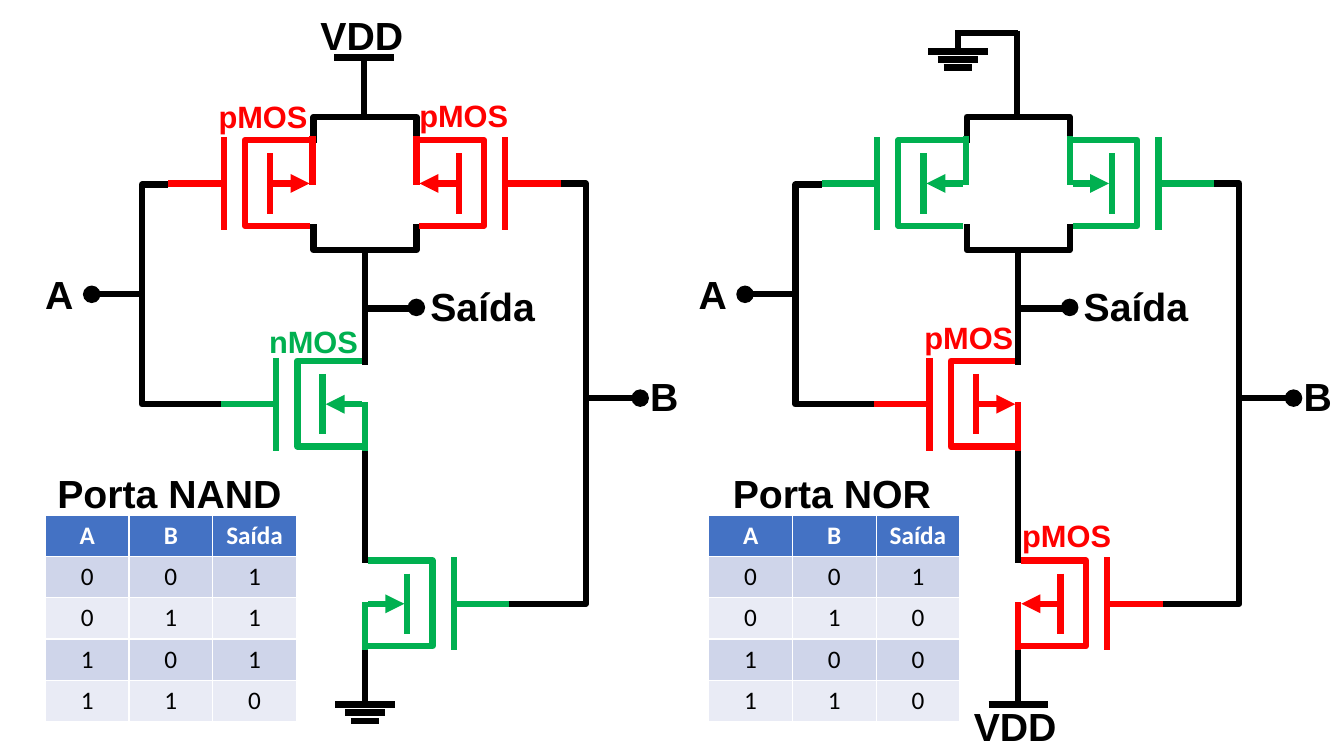
from dataclasses import dataclass
from itertools import product

from lxml.etree import SubElement
from pptx import Presentation
from pptx.dml.color import RGBColor
from pptx.enum.shapes import MSO_CONNECTOR as Conn, MSO_SHAPE as Geo
from pptx.enum.text import MSO_ANCHOR as Anchor, MSO_AUTO_SIZE as AutoSize, PP_ALIGN as Align
from pptx.oxml.ns import qn
from pptx.shapes.autoshape import Shape
from pptx.slide import Slide
from pptx.util import Inches, Pt

COLORS = {
    "black": "000000", "white": "FFFFFF", "pMOS": "FF0000", "nMOS": "00B050",
    "header": "4472C4", "odd": "CFD5EA", "even": "E9EBF5",
}
LINE_WIDTH = 4.5
COLUMN, ROW = 0.83, 0.41


@dataclass
class Wire:
    x1: float
    y1: float
    x2: float
    y2: float
    color: str = "black"
    arrow: bool = False


@dataclass
class Bracket:
    x: float
    y: float
    w: float
    h: float
    rotation: int = 0
    color: str = "black"


@dataclass
class Transistor:
    rail: float
    mid: float
    side: int
    upper: bool


@dataclass
class Label:
    text: str
    x: float
    y: float
    w: float
    color: str = "black"
    size: int = 28
    h: float = 0.57


@dataclass
class Gate:
    dx: float
    upper_kind: str
    lower_kind: str
    table_x: float
    outputs: tuple[int, ...]
    supply_y: float
    supply: list[Wire]
    labels: list[Label]


WIRES = [
    Wire(3.62, 2.49, 3.62, 3.62), Wire(3.62, 4.41, 3.62, 5.59), Wire(3.62, 6.41, 3.62, 6.96),
    Wire(1.66, 4.01, 2.25, 4.01), Wire(0.89, 2.92, 1.41, 2.92),
    Wire(4.96, 5.99, 5.55, 5.99), Wire(5.81, 3.95, 6.33, 3.95), Wire(3.6, 3.06, 4.12, 3.06),
]
BRACKETS = [
    Bracket(3.49, 1.84, 0.26, 1.02, 270), Bracket(3.49, 0.78, 0.26, 1.02, 90),
    Bracket(1.41, 1.83, 0.26, 2.18), Bracket(5.55, 1.82, 0.26, 4.17, 180),
]
TRANSISTORS = [
    Transistor(3.1, 1.82, -1, True), Transistor(4.13, 1.82, 1, True),
    Transistor(3.62, 4.01, -1, False), Transistor(3.62, 5.99, 1, False),
]
DOTS = [(0.91, 2.92), (4.13, 3.05), (6.35, 3.95)]
PINS = [Label("A", 0.35, 2.63, 0.49), Label("B", 6.35, 3.64, 0.49), Label("Saída", 4.17, 2.75, 1.25)]


def supply_bar(x: float, y: float, width: float = 0.59) -> Wire:
    return Wire(x - width / 2, y, x + width / 2, y)


def ground(x: float, y: float) -> list[Wire]:
    return [supply_bar(x, y + i * 0.08, w) for i, w in enumerate((0.59, 0.4, 0.28))]


def channel_label(kind: str, x: float, y: float) -> Label:
    return Label(kind, x, y, 1.09, kind, 22, 0.47)


GATES = [
    Gate(0, "pMOS", "nMOS", 0.45, (1, 1, 1, 0), 0.54,
         [supply_bar(3.61, 0.57), *ground(3.62, 6.99)],
         [Label("VDD", 3.08, 0.06, 1.03), Label("Porta NAND", 0.47, 4.61, 2.45),
          channel_label("pMOS", 2.07, 0.92), channel_label("pMOS", 4.06, 0.91),
          channel_label("nMOS", 2.57, 3.15)]),
    Gate(6.48, "nMOS", "pMOS", 7.03, (1, 0, 0, 0), 0.31,
         [supply_bar(3.62, 6.99), *ground(3.02, 0.51),
          Wire(3.02, 0.33, 3.62, 0.33), Wire(3.02, 0.54, 3.02, 0.3)],
         [Label("VDD", 3.08, 6.92, 1.03), Label("Porta NOR", 0.69, 4.61, 2.19),
          channel_label("pMOS", 2.59, 3.11), channel_label("pMOS", 3.56, 5.08)]),
]


def rgb(color: str) -> RGBColor:
    return RGBColor.from_string(COLORS[color])


def draw_wire(s: Slide, w: Wire, dx: float) -> None:
    c = s.shapes.add_connector(
        Conn.STRAIGHT, Inches(w.x1 + dx), Inches(w.y1), Inches(w.x2 + dx), Inches(w.y2))
    c.line.color.rgb = rgb(w.color)
    c.line.width = Pt(LINE_WIDTH)
    if w.arrow:
        SubElement(c.line._get_or_add_ln(), qn("a:tailEnd"), type="triangle")
    SubElement(c._element.spPr, qn("a:effectLst"))


def add_preset(s: Slide, geo: Geo, x: float, y: float, w: float, h: float,
               color: str, line_width: float) -> Shape:
    sp = s.shapes.add_shape(geo, Inches(x), Inches(y), Inches(w), Inches(h))
    sp.shadow.inherit = False
    sp.line.color.rgb = rgb(color)
    sp.line.width = Pt(line_width)
    return sp


def draw_bracket(s: Slide, b: Bracket, dx: float) -> None:
    sp = add_preset(s, Geo.LEFT_BRACKET, b.x + dx, b.y, b.w, b.h, b.color, LINE_WIDTH)
    sp.adjustments[0] = 0
    sp.rotation = b.rotation
    sp.fill.background()


def draw_dot(s: Slide, x: float, y: float) -> None:
    sp = add_preset(s, Geo.OVAL, x - 0.08, y - 0.08, 0.16, 0.16, "black", 1)
    sp.fill.solid()
    sp.fill.fore_color.rgb = rgb("black")


def draw_transistor(s: Slide, t: Transistor, kind: str, dx: float) -> None:
    def out(offset: float) -> float:
        return t.rail + t.side * offset

    left = min(out(0.03), out(0.67))
    draw_bracket(s, Bracket(left, t.mid - 0.43, 0.64, 0.85, 180 if t.side > 0 else 0, kind), dx)
    start, end = (0.39, 0.03) if kind == "pMOS" else (0.03, 0.39)
    source_y = t.mid + (-0.47 if t.upper else 0.46)
    for w in (
        Wire(out(0.42), t.mid - 0.3, out(0.42), t.mid + 0.3, kind),
        Wire(out(start), t.mid, out(end), t.mid, kind, True),
        Wire(out(0.88), t.mid - 0.46, out(0.88), t.mid + 0.46, kind),
        Wire(out(0.91), t.mid, out(1.43), t.mid, kind),
        Wire(t.rail, source_y, t.rail, t.mid + 0.02 * (1 if t.upper else -1), kind),
    ):
        draw_wire(s, w, dx)


def draw_label(s: Slide, label: Label, dx: float) -> None:
    tf = s.shapes.add_textbox(
        Inches(label.x + dx), Inches(label.y), Inches(label.w), Inches(label.h)).text_frame
    tf.word_wrap = False
    tf.auto_size = AutoSize.SHAPE_TO_FIT_TEXT
    p = tf.paragraphs[0]
    p.text = label.text
    p.font.name = "Arial"
    p.font.size = Pt(label.size)
    p.font.bold = True
    p.font.color.rgb = rgb(label.color)


def draw_truth_table(s: Slide, gate: Gate) -> None:
    rows = [("A", "B", "Saída")]
    rows += [(a, b, y) for (a, b), y in zip(product((0, 1), repeat=2), gate.outputs)]
    table = s.shapes.add_table(
        len(rows), 3, Inches(gate.table_x), Inches(5.11), Inches(3 * COLUMN),
        Inches(len(rows) * ROW)).table
    for i, values in enumerate(rows):
        for j, value in enumerate(values):
            cell = table.cell(i, j)
            cell.fill.solid()
            cell.fill.fore_color.rgb = rgb("header" if i == 0 else "odd" if i % 2 else "even")
            cell.vertical_anchor = Anchor.MIDDLE
            p = cell.text_frame.paragraphs[0]
            p.text = str(value)
            p.alignment = Align.CENTER
            p.font.name = "Calibri"
            p.font.size = Pt(18)
            p.font.bold = i == 0
            p.font.color.rgb = rgb("black" if i else "white")


def draw_gate(s: Slide, gate: Gate) -> None:
    for w in [*WIRES, Wire(3.61, 1.17, 3.61, gate.supply_y), *gate.supply]:
        draw_wire(s, w, gate.dx)
    for b in BRACKETS:
        draw_bracket(s, b, gate.dx)
    for t in TRANSISTORS:
        draw_transistor(s, t, gate.upper_kind if t.upper else gate.lower_kind, gate.dx)
    for x, y in DOTS:
        draw_dot(s, x + gate.dx, y)
    draw_truth_table(s, gate)
    for label in PINS + gate.labels:
        draw_label(s, label, gate.dx)


def main() -> None:
    prs = Presentation()
    prs.slide_width, prs.slide_height = Inches(13.33), Inches(7.5)
    s = prs.slides.add_slide(prs.slide_layouts[6])
    for gate in GATES:
        draw_gate(s, gate)
    prs.save("out.pptx")


if __name__ == "__main__":
    main()
